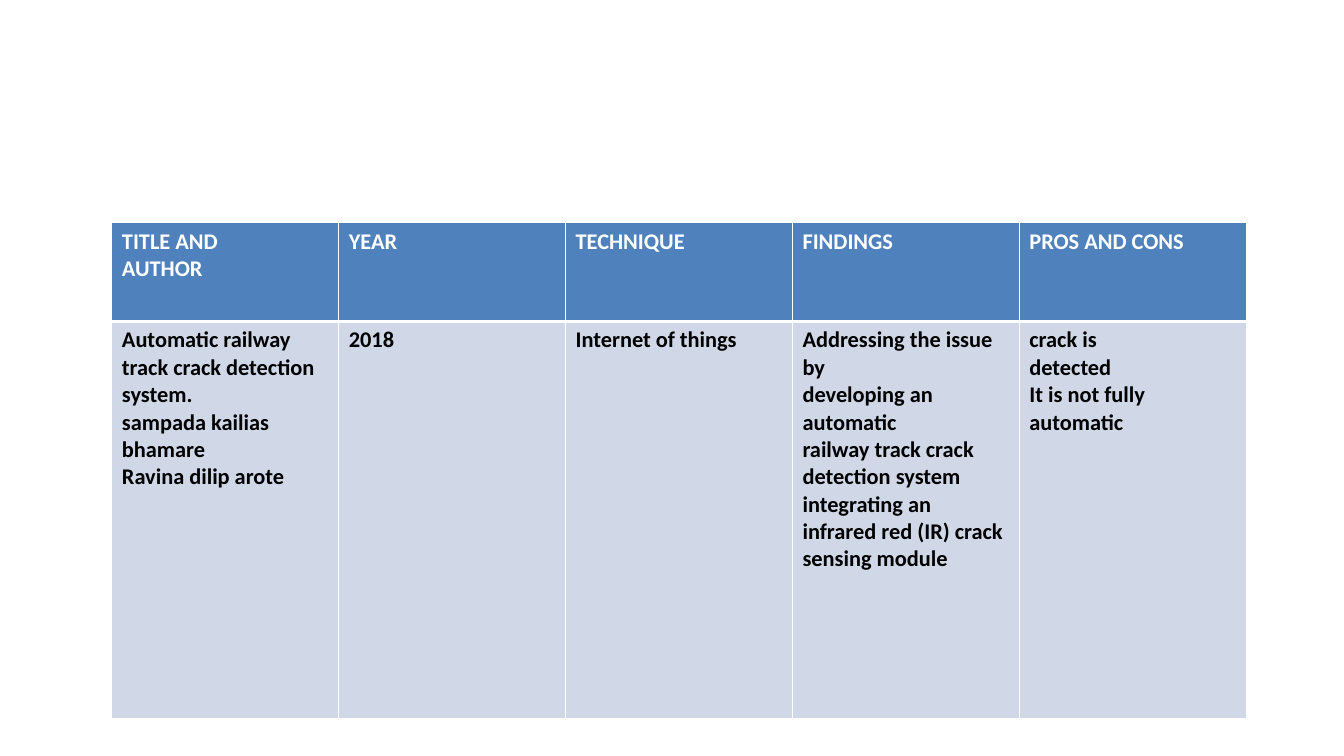
from lxml import etree
from pptx import Presentation, util as u
from pptx.dml.color import RGBColor
from pptx.enum import text
from pptx.oxml.ns import qn

HEADINGS = ["TITLE AND\nAUTHOR", "YEAR", "TECHNIQUE", "FINDINGS", "PROS AND CONS"]
STUDY = [
    "Automatic railway\ntrack crack detection\nsystem.\nsampada kailias\nbhamare\nRavina dilip arote",
    "2018",
    "Internet of things",
    "Addressing the issue by\ndeveloping an\nautomatic\nrailway track crack\ndetection system\n"
    "integrating an\ninfrared red (IR) crack\nsensing module",
    "crack is\ndetected\nIt is not fully\nautomatic",
]


def rgb(value):
    return RGBColor.from_string(value)


def write(frame, content, *, color, font="Calibri", size=16, bold=True):
    """Fill a text frame, one paragraph per line of content."""
    frame.word_wrap = True
    frame.text = content
    for paragraph in frame.paragraphs:
        paragraph.alignment = text.PP_ALIGN.LEFT
        for run in paragraph.runs:
            run.font.name = font
            run.font.size = u.Pt(size)
            run.font.bold = bold
            run.font.color.rgb = rgb(color)


class SlideBuilder:
    header_fill, header_text = "4F81BD", "FFFFFF"
    body_fill, body_text = "D0D8E8", "000000"
    border, thin, thick = "FFFFFF", 1, 3

    def __init__(self, slide):
        self.slide = slide

    def borders(self, cell, **widths):
        """Draw cell borders; widths are points keyed by L, R, T, B."""
        properties = cell._tc.get_or_add_tcPr()
        for side, width in widths.items():
            line = etree.SubElement(properties, qn(f"a:ln{side}"), w=str(u.Pt(width)))
            fill = etree.SubElement(line, qn("a:solidFill"))
            etree.SubElement(fill, qn("a:srgbClr"), val=self.border)

    def table(self, rows, left, top, column_width, row_heights):
        columns = len(rows[0])
        grid = self.slide.shapes.add_table(
            len(rows), columns, u.Inches(left), u.Inches(top),
            u.Inches(column_width * columns), u.Inches(sum(row_heights))).table
        for column in grid.columns:
            column.width = u.Inches(column_width)
        for r, (entries, height) in enumerate(zip(rows, row_heights)):
            grid.rows[r].height = u.Inches(height)
            is_header = r == 0
            for c, entry in enumerate(entries):
                cell = grid.cell(r, c)
                self.borders(cell, L=self.thin, R=self.thin,
                             T=self.thick if r == 1 else self.thin,
                             B=self.thick if is_header else self.thin)
                cell.fill.solid()
                cell.fill.fore_color.rgb = rgb(self.header_fill if is_header else self.body_fill)
                write(cell.text_frame, entry,
                      color=self.header_text if is_header else self.body_text)


def main():
    deck = Presentation()
    deck.slide_width, deck.slide_height = u.Inches(13.33), u.Inches(7.5)
    builder = SlideBuilder(deck.slides.add_slide(deck.slide_layouts[6]))
    builder.table([HEADINGS, STUDY], left=1.11, top=2.21,
                  column_width=2.25, row_heights=[0.98, 3.94])
    deck.save("out.pptx")


if __name__ == "__main__":
    main()
